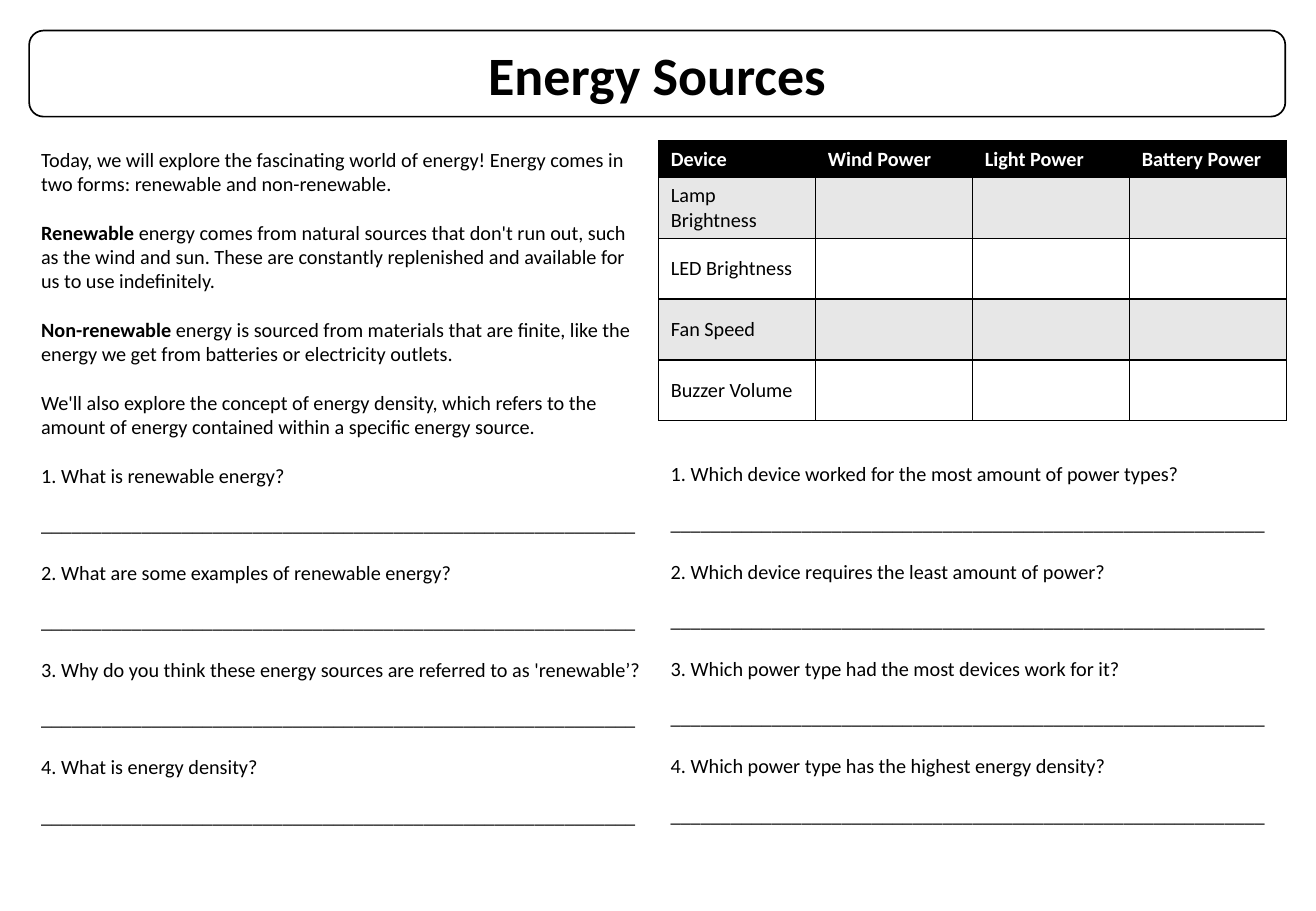
from dataclasses import dataclass

from lxml import etree
from pptx import Presentation
from pptx.dml.color import RGBColor
from pptx.enum.shapes import MSO_SHAPE
from pptx.enum.text import MSO_ANCHOR, PP_ALIGN
from pptx.oxml.ns import qn
from pptx.util import Cm, Pt

ROUNDED = MSO_SHAPE.ROUNDED_RECTANGLE
CENTER = PP_ALIGN.CENTER
MIDDLE, BOTTOM = MSO_ANCHOR.MIDDLE, MSO_ANCHOR.BOTTOM


@dataclass(frozen=True)
class Theme:
    font: str = "Calibri"
    title_size: Pt = Pt(32)
    body_size: Pt = Pt(12)
    gap: Pt = Pt(14.4)
    outline: Pt = Pt(1)
    ink: RGBColor = RGBColor(0x00, 0x00, 0x00)
    paper: RGBColor = RGBColor(0xFF, 0xFF, 0xFF)
    band: RGBColor = RGBColor(0xE7, 0xE7, 0xE7)


THEME = Theme()
LEFT, RIGHT = Cm(0.61), Cm(13.77)
COLUMN_WIDTH = Cm(13.13)
BODY_TOP = Cm(2.95)
NUMBER_INDENT = Cm(0.42)
ANSWER_LINE = "_" * 59

INTRO = [
    ("", "Today, we will explore the fascinating world of energy! Energy comes "
         "in two forms: renewable and non-renewable."),
    ("Renewable", " energy comes from natural sources that don't run out, such as "
                  "the wind and sun. These are constantly replenished and available "
                  "for us to use indefinitely."),
    ("Non-renewable", " energy is sourced from materials that are finite, like the "
                      "energy we get from batteries or electricity outlets."),
    ("", "We'll also explore the concept of energy density, which refers to the "
         "amount of energy contained within a specific energy source."),
]
THEORY_QUESTIONS = [
    "What is renewable energy?",
    "What are some examples of renewable energy?",
    "Why do you think these energy sources are referred to as 'renewable’?",
    "What is energy density?",
]
RESULT_QUESTIONS = [
    "Which device worked for the most amount of power types?",
    "Which device requires the least amount of power?",
    "Which power type had the most devices work for it?",
    "Which power type has the highest energy density?",
]
POWER_HEADINGS = ["Device", "Wind Power", "Light Power", "Battery Power"]
DEVICES = ["Lamp Brightness", "LED Brightness", "Fan Speed", "Buzzer Volume"]


def apply(target, values):
    for name, value in values.items():
        setattr(target, name, value)


def add_run(paragraph, text, color=THEME.ink, **formats):
    run = paragraph.add_run()
    run.text = text
    apply(run.font, {"name": THEME.font, "size": THEME.body_size, "bold": False, **formats})
    run.font.color.rgb = color


def next_paragraph(frame):
    first = frame.paragraphs[0]
    if not first.runs:
        return first
    paragraph = frame.add_paragraph()
    paragraph.space_before = THEME.gap
    return paragraph


def add_column(slide, left, top, height):
    frame = slide.shapes.add_textbox(left, top, COLUMN_WIDTH, height).text_frame
    frame.word_wrap = True
    return frame


def add_intro(frame):
    for term, explanation in INTRO:
        paragraph = next_paragraph(frame)
        if term:
            add_run(paragraph, term, bold=True)
        add_run(paragraph, explanation)


def add_questions(frame, questions):
    for number, question in enumerate(questions, 1):
        paragraph = next_paragraph(frame)
        properties = paragraph._p.get_or_add_pPr()
        properties.set("marL", str(NUMBER_INDENT))
        properties.set("indent", str(-NUMBER_INDENT))
        etree.SubElement(properties, qn("a:buFont"), typeface=THEME.font)
        etree.SubElement(properties, qn("a:buAutoNum"),
                         type="arabicPeriod", startAt=str(number))
        add_run(paragraph, question)
        add_run(next_paragraph(frame), ANSWER_LINE)


def add_title(slide, text):
    banner = slide.shapes.add_shape(ROUNDED, LEFT, Cm(0.64), Cm(26.26), Cm(1.8))
    banner.shadow.inherit = False
    banner.fill.solid()
    banner.fill.fore_color.rgb = THEME.paper
    banner.line.color.rgb = THEME.ink
    banner.line.width = THEME.outline
    banner.text_frame.vertical_anchor = MIDDLE
    paragraph = banner.text_frame.paragraphs[0]
    paragraph.alignment = CENTER
    add_run(paragraph, text, size=THEME.title_size, bold=True)


def style_cell(cell, fill):
    properties = cell._tc.get_or_add_tcPr()
    for side in ("a:lnL", "a:lnR", "a:lnT", "a:lnB"):
        border = etree.SubElement(properties, qn(side), w=str(THEME.outline))
        solid = etree.SubElement(border, qn("a:solidFill"))
        etree.SubElement(solid, qn("a:srgbClr"), val=str(THEME.ink))
    cell.fill.solid()
    cell.fill.fore_color.rgb = fill


def add_results_table(slide):
    rows = [POWER_HEADINGS] + [[device, "", "", ""] for device in DEVICES]
    table = slide.shapes.add_table(len(rows), len(POWER_HEADINGS), RIGHT, BODY_TOP,
                                   COLUMN_WIDTH, Cm(5.84)).table
    for row_index, texts in enumerate(rows):
        heading = row_index == 0
        table.rows[row_index].height = Cm(0.76) if heading else Cm(1.27)
        fill = THEME.ink if heading else (THEME.paper, THEME.band)[row_index % 2]
        for column_index, text in enumerate(texts):
            cell = table.cell(row_index, column_index)
            style_cell(cell, fill)
            cell.vertical_anchor = BOTTOM if heading else MIDDLE
            if text:
                add_run(cell.text_frame.paragraphs[0], text,
                        THEME.paper if heading else THEME.ink, bold=heading)


def main():
    worksheet = Presentation()
    apply(worksheet, {"slide_width": Cm(27.51), "slide_height": Cm(19.05)})
    slide = worksheet.slides.add_slide(worksheet.slide_layouts[6])
    add_title(slide, "Energy Sources")
    theory = add_column(slide, LEFT, BODY_TOP, Cm(15.14))
    add_intro(theory)
    add_questions(theory, THEORY_QUESTIONS)
    add_results_table(slide)
    add_questions(add_column(slide, RIGHT, Cm(9.53), Cm(7.95)), RESULT_QUESTIONS)
    worksheet.save("out.pptx")


if __name__ == "__main__":
    main()
